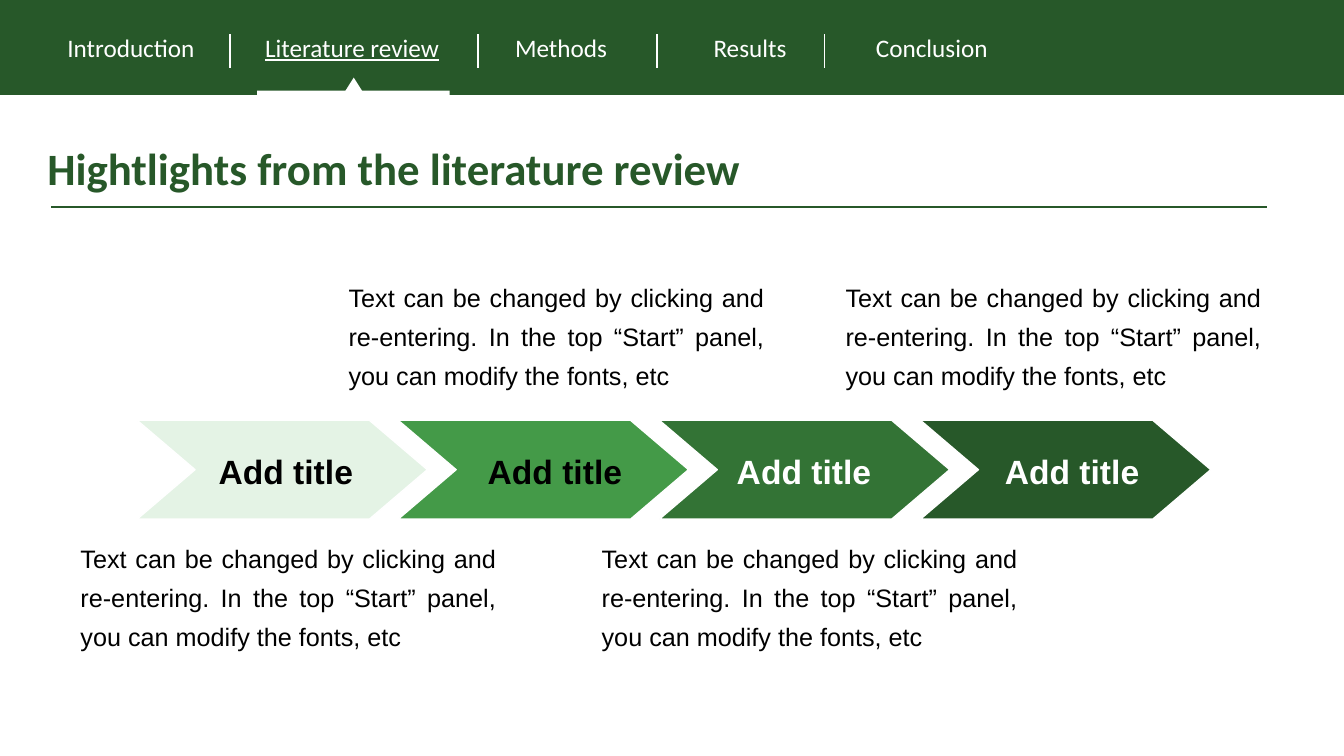
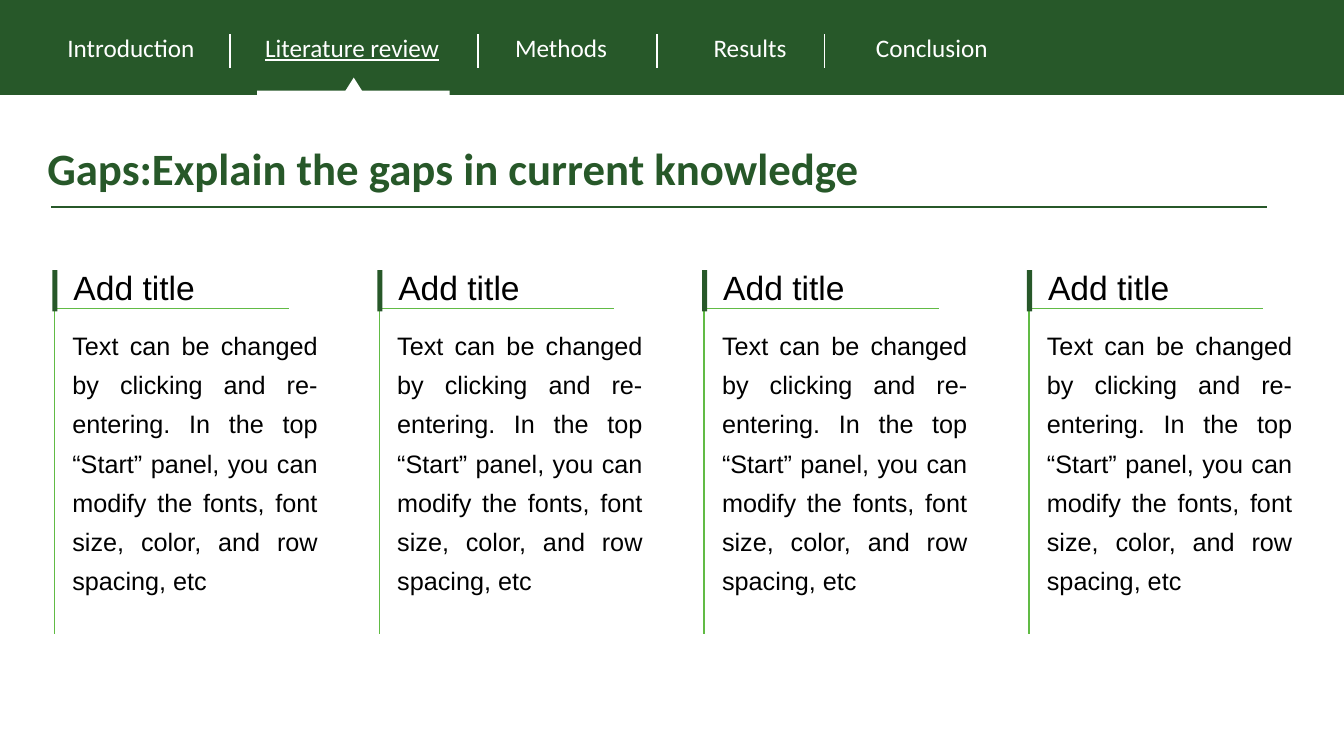
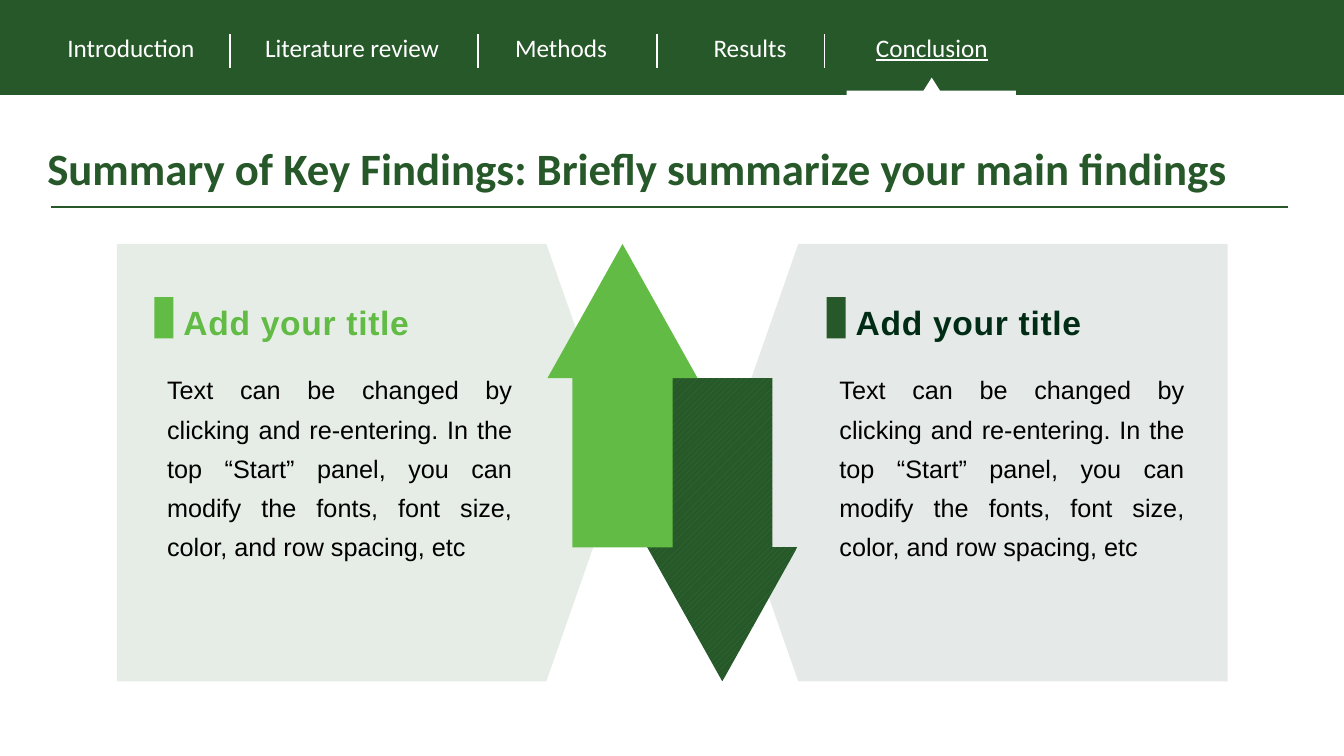
from lxml import etree
from pptx import Presentation
from pptx.dml.color import RGBColor
from pptx.enum.dml import MSO_PATTERN
from pptx.enum.shapes import MSO_CONNECTOR, MSO_SHAPE
from pptx.enum.text import PP_ALIGN
from pptx.oxml.ns import qn
from pptx.util import Inches, Pt

WIDTH, HEIGHT = Inches(13.33), Inches(7.5)
RECT, TRIANGLE = MSO_SHAPE.RECTANGLE, MSO_SHAPE.ISOSCELES_TRIANGLE
PANEL, ARROW = MSO_SHAPE.PENTAGON, MSO_SHAPE.UP_ARROW
STRAIGHT = MSO_CONNECTOR.STRAIGHT
DIAGONAL = MSO_PATTERN.WIDE_UPWARD_DIAGONAL
JUSTIFY = PP_ALIGN.JUSTIFY

DARK, FOREST, MEDIUM, PALE = "275829", "337335", "449A48", "E4F3E5"
LIME, INK, BLACK, WHITE = "61BB45", "002C16", "000000", "FFFFFF"

TITLE = {"font": {"name": "Calibri", "size": Pt(32), "bold": True}}
NAV = {"font": {"name": "Calibri", "size": Pt(18)}}
NAV_ACTIVE = {"font": {"name": "Calibri", "size": Pt(18), "underline": True}}
BODY = {"font": {"name": "Arial", "size": Pt(18)},
        "paragraph": {"alignment": JUSTIFY, "line_spacing": 1.3}}
LABEL = {"font": {"name": "Arial", "size": Pt(24)},
         "paragraph": {"line_spacing": 0.9}}
LABEL_BOLD = {"font": {"name": "Arial", "size": Pt(24), "bold": True},
              "paragraph": {"line_spacing": 0.9}}
CARD_TITLE = {"font": {"name": "Arial", "size": Pt(24), "bold": True},
              "paragraph": {"alignment": JUSTIFY}, "spacing": 50}

NAV_ITEMS = [("Introduction", 4.28, 11.5), ("Literature review", 18.98, 15),
             ("Methods", 37.58, 9), ("Results", 52.35, 7.8),
             ("Conclusion", 64.43, 10.5)]
NAV_DIVIDERS = [17.13, 35.57, 48.9, 61.35]
NAV_MARKERS = {"Literature review": (19.13, 14.33), "Conclusion": (63, 12.6)}

SHORT_BODY = ("Text can be changed by clicking and re-entering. In the top "
              "“Start” panel, you can modify the fonts, etc")
LONG_BODY = ("Text can be changed by clicking and re-entering. In the top "
             "“Start” panel, you can modify the fonts, font size, color, "
             "and row spacing, etc")


def col(share):
    """Turn a percentage of the slide width into a length."""
    return round(WIDTH * share / 100)


def row(share):
    """Turn a percentage of the slide height into a length."""
    return round(HEIGHT * share / 100)


def frame(x, y, w, h):
    """Turn a box in percentages into left, top, width and height."""
    return col(x), row(y), col(w), row(h)


def paint(color_format, color):
    """Give a fill, line or font colour a hex value."""
    color_format.rgb = RGBColor.from_string(color)


def apply(target, values):
    """Set attributes of a target from a dict."""
    for key, value in values.items():
        setattr(target, key, value)


def add_text(slide, text, box, style, color=BLACK):
    """Add a one-paragraph text box in a given style."""
    text_frame = slide.shapes.add_textbox(*frame(*box)).text_frame
    text_frame.word_wrap = True
    paragraph = text_frame.paragraphs[0]
    apply(paragraph, style.get("paragraph", {}))
    run = paragraph.add_run()
    run.text = text
    apply(run.font, style["font"])
    paint(run.font.color, color)
    if "spacing" in style:
        run._r.get_or_add_rPr().set("spc", str(style["spacing"]))


def add_block(slide, kind, box, color, adjustments=(), rotation=0, opacity=100):
    """Add a filled preset shape without outline and return it."""
    block = slide.shapes.add_shape(kind, *frame(*box))
    block.shadow.inherit = False
    block.rotation = rotation
    block.line.fill.background()
    block.fill.solid()
    paint(block.fill.fore_color, color)
    for index, value in enumerate(adjustments):
        block.adjustments[index] = value
    if opacity < 100:
        tint = block._element.spPr.find(".//" + qn("a:srgbClr"))
        etree.SubElement(tint, qn("a:alpha")).set("val", str(opacity * 1000))
    return block


def add_rule(slide, start, end, color, weight=1):
    """Add a straight line between two grid points."""
    rule = slide.shapes.add_connector(
        STRAIGHT, col(start[0]), row(start[1]), col(end[0]), row(end[1]))
    paint(rule.line.color, color)
    rule.line.width = Pt(weight)
    etree.SubElement(rule._element.spPr, qn("a:effectLst"))


def add_chevron(slide, box, notch, color):
    """Add a notched arrow with a white outline."""
    x, y, w, h = box
    points = [(x, y), (x + w - notch, y), (x + w, y + h / 2),
              (x + w - notch, y + h), (x, y + h), (x + notch, y + h / 2)]
    corners = [(col(px), row(py)) for px, py in points]
    builder = slide.shapes.build_freeform(*corners[0])
    builder.add_line_segments(corners[1:], close=True)
    chevron = builder.convert_to_shape()
    chevron.shadow.inherit = False
    chevron.fill.solid()
    paint(chevron.fill.fore_color, color)
    paint(chevron.line.color, WHITE)
    chevron.line.width = Pt(1)


def add_navigation(slide, active):
    """Add the top band with its sections and the active marker."""
    add_block(slide, RECT, (0, 0, 100, 12.55), DARK)
    left, width = NAV_MARKERS[active]
    add_block(slide, TRIANGLE, (left + width / 2 - 0.65, 10.27, 1.35, 1.9), WHITE)
    add_block(slide, RECT, (left, 12, width, 1.07), WHITE)
    for section, x, w in NAV_ITEMS:
        style = NAV_ACTIVE if section == active else NAV
        add_text(slide, section, (x, 3.6, w, 5.33), style, WHITE)
    for x in NAV_DIVIDERS:
        add_rule(slide, (x, 4.53), (x, 8.93), WHITE)


def start_slide(deck, title, active, rule_end=94.28):
    """Add a blank slide with navigation, title and title rule."""
    slide = deck.slides.add_slide(deck.slide_layouts[6])
    add_navigation(slide, active)
    add_text(slide, title, (2.78, 18, 94, 9.2), TITLE, DARK)
    add_rule(slide, (3.83, 27.37), (rule_end, 27.37), DARK, 1.25)
    return slide


def build_highlights(deck):
    """Build the slide with four chevrons and alternating texts."""
    slide = start_slide(deck, "Hightlights from the literature review",
                        "Literature review")
    steps = [(PALE, BLACK, 15.53, 5.25), (MEDIUM, BLACK, 35.55, 25.2),
             (FOREST, WHITE, 54.08, 44.03), (DARK, WHITE, 74.03, 62.18)]
    for index, (color, label_color, label_x, body_x) in enumerate(steps):
        add_chevron(slide, (10.2 + 19.43 * index, 55.6, 21.6, 13.07), 4.31, color)
        add_text(slide, "Add title", (label_x, 59.6, 14.4, 5.33),
                 LABEL_BOLD, label_color)
        body_y = 35.47 if index % 2 else 70
        add_text(slide, SHORT_BODY, (body_x, body_y, 32.4, 16.8), BODY)


def build_gaps(deck):
    """Build the slide with four ruled text columns."""
    slide = start_slide(deck, "Gaps:Explain the gaps in current knowledge",
                        "Literature review")
    for index in range(4):
        x = 4.05 + 24.17 * index
        add_rule(slide, (x, 41.07), (x, 83.87), LIME)
        add_rule(slide, (x, 40.8), (x + 17.45, 40.8), LIME)
        add_block(slide, RECT, (x - 0.15, 35.73, 0.38, 5.47), DARK)
        add_text(slide, "Add title", (x + 0.68, 35.2, 15.9, 5.33), LABEL)
        add_text(slide, LONG_BODY, (x + 0.6, 41.8, 19.73, 57.2), BODY)


def build_summary(deck):
    """Build the slide with two panels and opposing arrows."""
    slide = start_slide(
        deck, "Summary of Key Findings: Briefly summarize your main findings",
        "Conclusion", 95.85)
    panels = [(8.7, FOREST, 0, 12), (53.7, INK, 180, 10)]
    for x, color, rotation, opacity in panels:
        add_block(slide, PANEL, (x, 32.27, 37.65, 57.87), color,
                  [0.175], rotation, opacity)
    arrow_shape = [0.667, 0.894]
    down = add_block(slide, ARROW, (48.15, 50, 11.18, 40.13), DARK,
                     arrow_shape, 180)
    down.fill.patterned()
    down.fill.pattern = DIAGONAL
    paint(down.fill.fore_color, FOREST)
    paint(down.fill.back_color, DARK)
    add_block(slide, ARROW, (40.73, 32.27, 11.18, 40.13), LIME, arrow_shape)
    for x, marker_color, title_color in [(11.48, LIME, LIME), (61.5, DARK, INK)]:
        add_block(slide, RECT, (x, 39.3, 1.43, 5.47), marker_color)
        add_text(slide, "Add your title", (x + 1.43, 39.3, 19.35, 6.67),
                 CARD_TITLE, title_color)
        add_text(slide, LONG_BODY, (x + 0.22, 47.7, 27.15, 12), BODY)


def main():
    """Build the deck and save it."""
    deck = Presentation()
    apply(deck, {"slide_width": WIDTH, "slide_height": HEIGHT})
    for build in (build_highlights, build_gaps, build_summary):
        build(deck)
    deck.save("out.pptx")


if __name__ == "__main__":
    main()
